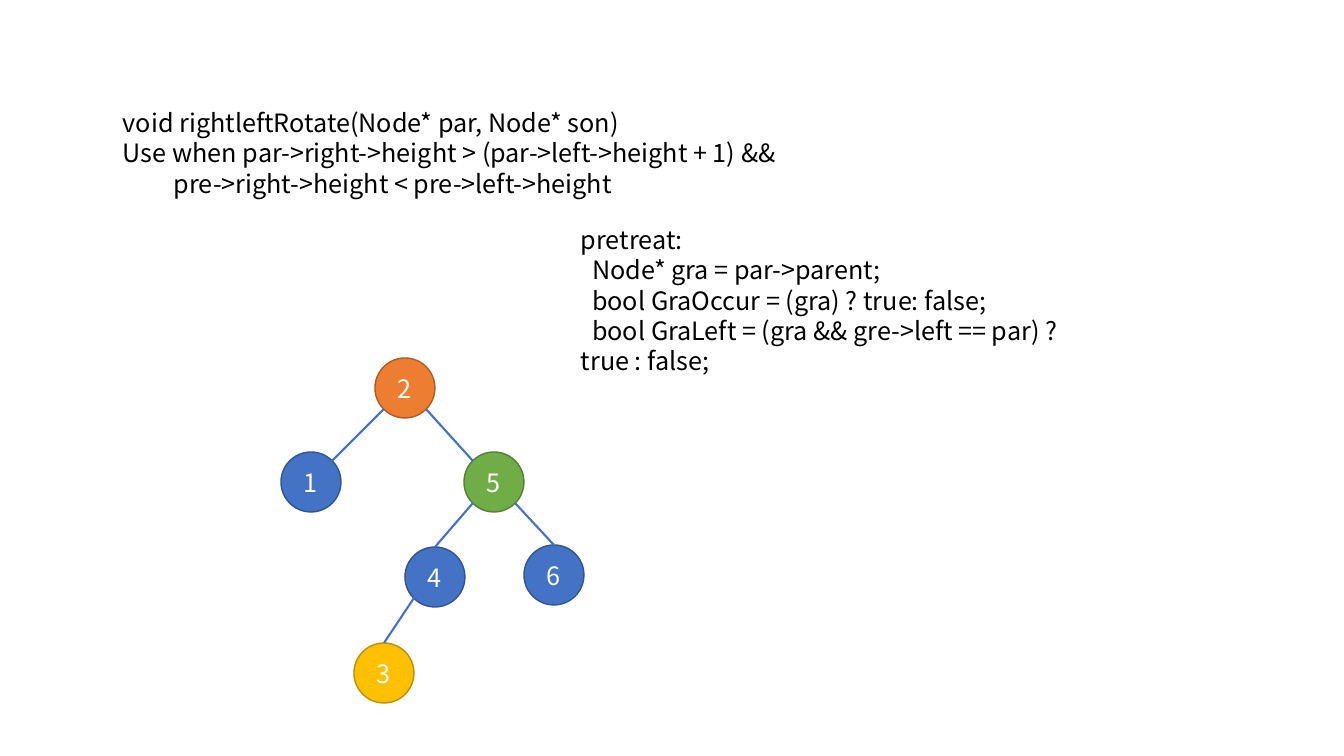
from math import sqrt

from lxml.etree import SubElement
from pptx import Presentation
from pptx.dml.color import RGBColor
from pptx.enum.shapes import MSO_CONNECTOR, MSO_SHAPE
from pptx.enum.text import MSO_ANCHOR, PP_ALIGN
from pptx.oxml.ns import qn
from pptx.util import Emu, Pt

BLUE = ("4472C4", "325491")
ORANGE = ("ED7D31", "AF5C24")
GREEN = ("70AD47", "538035")
GOLD = ("FFC000", "BD8E00")
NODE_SIZE = 60

# Key: left, top, (fill, outline)
NODES = {
    "2": (375, 358, ORANGE),
    "1": (281, 452, BLUE),
    "5": (464, 452, GREEN),
    "6": (524, 545, BLUE),
    "4": (405, 547, BLUE),
    "3": (354, 643, GOLD),
}

# Parent, side it leaves from, child, side it arrives at
EDGES = [
    ("2", "bottom left", "1", "top right"),
    ("2", "bottom right", "5", "top left"),
    ("5", "bottom left", "4", "top"),
    ("5", "bottom right", "6", "top"),
    ("4", "bottom left", "3", "top"),
]

SIGNATURE = [
    "void rightleftRotate(Node* par, Node* son)",
    "Use when par->right->height > (par->left->height + 1) &&",
    "         pre->right->height < pre->left->height",
]
PRETREAT = [
    "pretreat:",
    "  Node* gra = par->parent;",
    "  bool GraOccur = (gra) ? true: false;",
    "  bool GraLeft = (gra && gre->left == par) ? true : false;",
]


def px(length):
    return Emu(round(length * 914400 / 100.8))


def color(value):
    return RGBColor.from_string(value)


def anchor(key, side):
    """Point on the rim of a node, at a corner of its inner square or at its top."""
    left, top, _ = NODES[key]
    radius = NODE_SIZE / 2
    reach = radius / sqrt(2)
    across = ("right" in side) - ("left" in side)
    down = ("bottom" in side) - ("top" in side)
    if not across:
        reach = radius
    return round(left + radius + across * reach), round(top + radius + down * reach)


class SlidePainter:
    font = "Noto Sans CJK SC"
    size = Pt(18)
    line_spacing = Pt(21.7)

    def __init__(self, page):
        self.page = page

    def add_span(self, para, text, ink):
        span = para.add_run()
        span.text = text
        span.font.name = self.font
        span.font.size = self.size
        span.font.color.rgb = color(ink)

    def code(self, left, top, width, height, lines):
        box = self.page.shapes.add_textbox(px(left), px(top), px(width), px(height))
        frame = box.text_frame
        frame.word_wrap = True
        for index, line in enumerate(lines):
            para = frame.add_paragraph() if index else frame.paragraphs[0]
            para.line_spacing = self.line_spacing
            self.add_span(para, line, "000000")

    def node(self, group, key):
        left, top, (fill, outline) = NODES[key]
        circle = group.shapes.add_shape(
            MSO_SHAPE.OVAL, px(left), px(top), px(NODE_SIZE), px(NODE_SIZE))
        circle.shadow.inherit = False
        circle.fill.solid()
        circle.fill.fore_color.rgb = color(fill)
        circle.line.color.rgb = color(outline)
        circle.line.width = Pt(1)
        frame = circle.text_frame
        frame.vertical_anchor = MSO_ANCHOR.MIDDLE
        para = frame.paragraphs[0]
        para.alignment = PP_ALIGN.CENTER
        self.add_span(para, key, "FFFFFF")

    def edge(self, group, start, end):
        line = group.shapes.add_connector(
            MSO_CONNECTOR.STRAIGHT, *map(px, start + end))
        line.line.color.rgb = color(BLUE[0])
        line.line.width = Pt(1.5)
        SubElement(line._element.spPr, qn("a:effectLst"))

    def tree(self):
        group = self.page.shapes.add_group_shape()
        for key in NODES:
            self.node(group, key)
        for parent, leaving, child, arriving in EDGES:
            self.edge(group, anchor(parent, leaving), anchor(child, arriving))


def main():
    deck = Presentation()
    deck.slide_width, deck.slide_height = px(1344), px(756)
    painter = SlidePainter(deck.slides.add_slide(deck.slide_layouts[6]))

    # Preparation code
    painter.code(571, 219, 526, 163, PRETREAT)
    # Binary tree
    painter.tree()
    # Function signature and condition
    painter.code(113, 102, 737, 102, SIGNATURE)

    deck.save("out.pptx")


if __name__ == "__main__":
    main()
